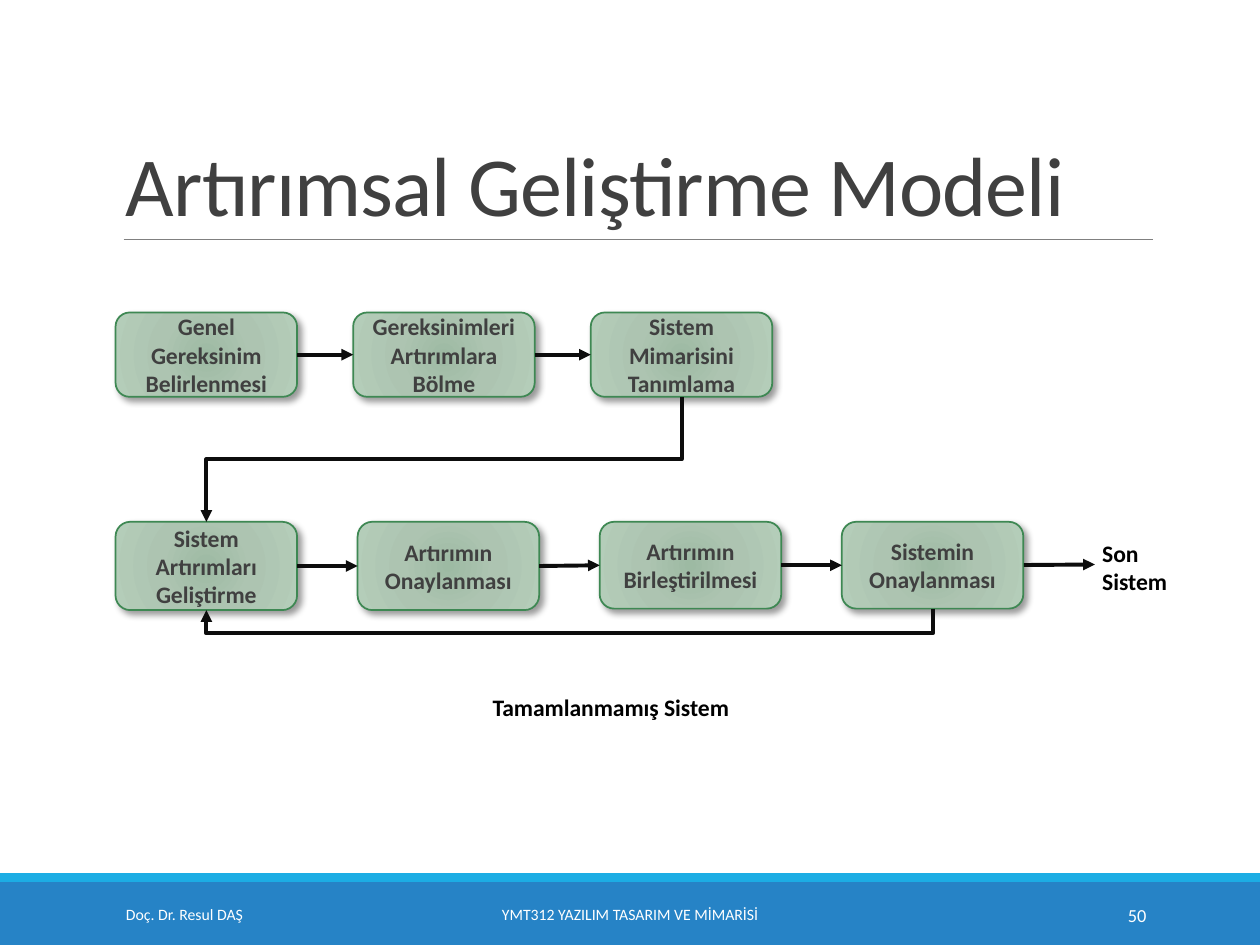
from itertools import pairwise

from lxml import etree
from pptx import Presentation
from pptx import util as u
from pptx.dml.color import RGBColor
from pptx.enum import shapes, text
from pptx.oxml import ns, parse_xml

BLUE = RGBColor(0x26, 0x83, 0xC6)
CYAN = RGBColor(0x1C, 0xAD, 0xE4)
GRAY = RGBColor(0x80, 0x80, 0x80)
DARK = RGBColor(0x40, 0x40, 0x40)
INK = RGBColor(0x0D, 0x0D, 0x0D)
BLACK = RGBColor(0, 0, 0)
WHITE = RGBColor(0xFF, 0xFF, 0xFF)
GREEN = RGBColor(0x3E, 0x88, 0x53)
GRADIENT = {0: RGBColor(0x9D, 0xBA, 0xA3), 45: RGBColor(0xAD, 0xC4, 0xB1),
            100: RGBColor(0xB4, 0xCD, 0xB9)}

LEFT, CENTER, RIGHT = text.PP_ALIGN.LEFT, text.PP_ALIGN.CENTER, text.PP_ALIGN.RIGHT
MIDDLE, BOTTOM = text.MSO_ANCHOR.MIDDLE, text.MSO_ANCHOR.BOTTOM
SIDE_TOP, SIDE_LEFT, SIDE_BOTTOM, SIDE_RIGHT = range(4)
LABEL = {"size": u.Pt(13.5), "bold": True}


def write(frame, paragraphs, color, align=LEFT, **font):
    for number, words in enumerate(paragraphs):
        para = frame.paragraphs[0] if number == 0 else frame.add_paragraph()
        para.text = words
        para.alignment = align
        for span in para.runs:
            span.font.color.rgb = color
            for name, value in {"name": "Calibri", **font}.items():
                setattr(span.font, name, value)


def add_text(page, area, words, color, align=LEFT, anchor=MIDDLE, wrap=True, **font):
    box = page.shapes.add_textbox(*map(u.Cm, area))
    frame = box.text_frame
    frame.word_wrap = wrap
    frame.vertical_anchor = anchor
    write(frame, [words], color, align, **font)
    return box


def add_bar(page, area, color):
    bar = page.shapes.add_shape(shapes.MSO_SHAPE.RECTANGLE, *map(u.Cm, area))
    bar.shadow.inherit = False
    bar.fill.solid()
    bar.fill.fore_color.rgb = color
    bar.line.fill.background()


def add_line(page, start, end, color, width, kind=shapes.MSO_CONNECTOR.STRAIGHT):
    line = page.shapes.add_connector(kind, *map(u.Cm, (*start, *end)))
    line.line.color.rgb = color
    line.line.width = u.Pt(width)
    etree.SubElement(line._element.spPr, ns.qn("a:effectLst"))
    return line


def add_arrow(page, source, source_side, target, target_side,
              kind=shapes.MSO_CONNECTOR.STRAIGHT):
    arrow = add_line(page, (0, 0), (1, 1), INK, 2.25, kind)
    arrow.begin_connect(source, source_side)
    arrow.end_connect(target, target_side)
    add_head(arrow)
    return arrow


def add_head(arrow):
    etree.SubElement(arrow.line._get_or_add_ln(), ns.qn("a:tailEnd"), type="triangle")


def add_return_arrow(page, source, target, target_side, drop=None):
    """Lead down from source, back left after drop (default halfway), into target."""
    arrow = add_arrow(page, source, SIDE_BOTTOM, target, target_side,
                      shapes.MSO_CONNECTOR.ELBOW)
    start_x, start_y, end_x, end_y = arrow.begin_x, arrow.begin_y, arrow.end_x, arrow.end_y
    length, breadth = end_y - start_y, start_x - end_x
    # The preset runs sideways first, so it is turned a quarter about its centre.
    frame = arrow._element.spPr.find(ns.qn("a:xfrm"))
    for flip in ("flipH", "flipV"):
        frame.attrib.pop(flip, None)
    frame.set("rot", str(90 * 60000))
    arrow.left = (start_x + end_x - length) // 2
    arrow.top = (start_y + end_y - breadth) // 2
    arrow.width, arrow.height = length, breadth
    if drop:
        guides = arrow._element.spPr.find(ns.qn("a:prstGeom")).get_or_add_avLst()
        etree.SubElement(guides, ns.qn("a:gd"), name="adj1",
                         fmla=f"val {round(drop / length * 100000)}")


def style_step(step):
    step.line.color.rgb = GREEN
    step.line.width = u.Pt(1)
    step.shadow.inherit = False
    properties = step._element.spPr
    stops = "".join(f'<a:gs pos="{place * 1000}"><a:srgbClr val="{color}"/></a:gs>'
                    for place, color in GRADIENT.items())
    properties.find(ns.qn("a:ln")).addprevious(parse_xml(
        f'<a:gradFill {ns.nsdecls("a")}><a:gsLst>{stops}</a:gsLst><a:path path="circle">'
        '<a:fillToRect l="100000" t="100000" r="100000" b="100000"/></a:path></a:gradFill>'))
    properties.find(ns.qn("a:effectLst")).append(parse_xml(
        f'<a:outerShdw {ns.nsdecls("a")} blurRad="{u.Pt(4)}" dist="{u.Pt(3)}" '
        'dir="2700000" rotWithShape="0"><a:srgbClr val="000000">'
        '<a:alpha val="40000"/></a:srgbClr></a:outerShdw>'))


def add_step_row(page, left, top, pitch, steps):
    """Place steps, given as (height, paragraphs), pitch apart and join them by arrows."""
    row = []
    for column, (height, paragraphs) in enumerate(steps):
        area = (left + column * pitch, top, 3.66, height)
        step = page.shapes.add_shape(shapes.MSO_SHAPE.ROUNDED_RECTANGLE, *map(u.Cm, area))
        style_step(step)
        step.text_frame.word_wrap = True
        step.text_frame.vertical_anchor = MIDDLE
        write(step.text_frame, paragraphs, DARK, CENTER, **LABEL)
        row.append(step)
    for source, target in pairwise(row):
        add_arrow(page, source, SIDE_RIGHT, target, SIDE_LEFT)
    return row


def add_flow(page, left, top):
    planning = add_step_row(page, left, top, 4.79, [
        (1.7, ["Genel Gereksinim", "Belirlenmesi"]),
        (1.7, ["Gereksinimleri", "Artırımlara Bölme"]),
        (1.7, ["Sistem Mimarisini Tanımlama"])])
    building = add_step_row(page, left, top + 4.22, 4.88, [
        (1.78, ["Sistem Artırımları", "Geliştirme"]),
        (1.78, ["Artırımın", "Onaylanması"]),
        (1.75, ["Artırımın", "Birleştirilmesi"]),
        (1.75, ["Sistemin Onaylanması"])])
    add_return_arrow(page, planning[-1], building[0], SIDE_TOP)
    add_return_arrow(page, building[-1], building[0], SIDE_BOTTOM, u.Cm(0.5))
    add_head(add_line(page, (left + 18.31, top + 5.09), (left + 19.74, top + 5.08), INK, 2.25))
    add_text(page, (left + 19.64, top + 4.42, 1.83, 1.42), "Son\vSistem", BLACK,
             wrap=False, **LABEL)
    add_text(page, (left + 7.35, top + 7.54, 5.33, 0.84), "Tamamlanmamış Sistem", BLACK,
             wrap=False, **LABEL)


def add_title(page, left, top, width, height):
    title = add_text(page, (left, top, width, height), "Artırımsal Geliştirme Modeli",
                     DARK, anchor=BOTTOM, size=u.Pt(48))
    para = title.text_frame.paragraphs[0]
    para.line_spacing = 0.85
    para.runs[0].font._element.set("spc", "-50")
    base = top + height
    add_line(page, (left + 0.2, base), (left + width, base), GRAY, 0.5)


def add_footer(page, top, width):
    add_bar(page, (0, top, width, 1.27), BLUE)
    add_bar(page, (0, top - 0.18, width, 0.18), CYAN)
    for left, breadth, words, align, size in (
            (2.29, 5.16, "Doç. Dr. Resul DAŞ", LEFT, 9),
            (7.67, 10.06, "YMT312 YAZILIM TASARIM VE MİMARİSİ", CENTER, 9),
            (20.62, 2.74, "50", RIGHT, 10.5)):
        add_text(page, (left, top + 0.15, breadth, 1.02), words, WHITE, align, size=u.Pt(size))


def main():
    deck = Presentation()
    deck.slide_width, deck.slide_height = u.Cm(25.4), u.Cm(19.05)
    page = deck.slides.add_slide(deck.slide_layouts[6])
    add_footer(page, 17.78, 25.4)
    add_title(page, 2.29, 0.79, 20.95, 4.04)
    add_flow(page, 2.33, 6.3)
    deck.save("out.pptx")


if __name__ == "__main__":
    main()
